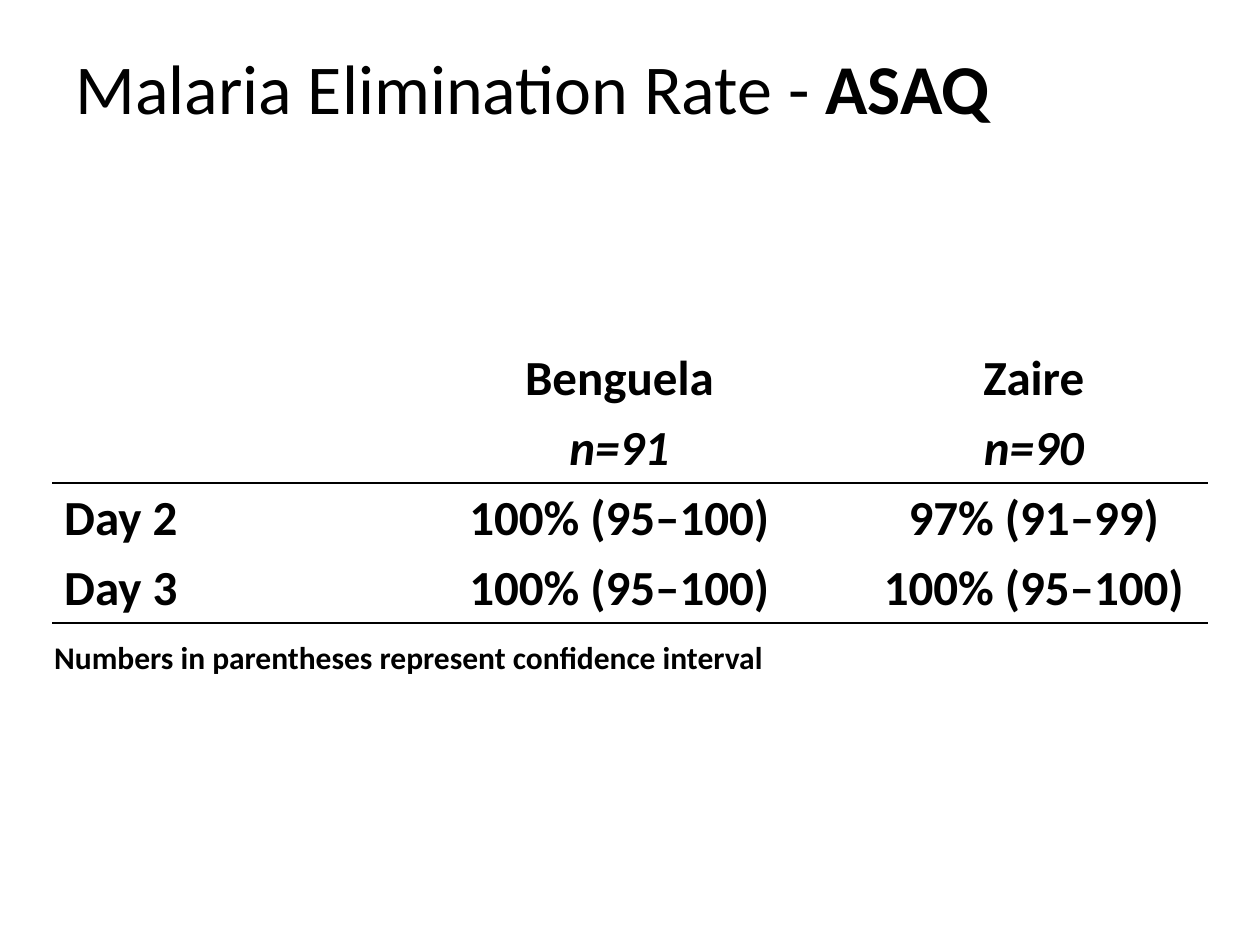
import pptx
import pptx.util
import pptx.dml.color
import pptx.enum.text
import pptx.oxml
import pptx.oxml.ns

Inches, Pt = pptx.util.Inches, pptx.util.Pt
ALIGN, ANCHOR = pptx.enum.text.PP_ALIGN, pptx.enum.text.MSO_ANCHOR
THEME = {
    "font": "Calibri",
    "ink": pptx.dml.color.RGBColor(0, 0, 0),
    "title": Pt(40),
    "body": Pt(28),
    "note": Pt(18),
    "rule": Pt(1),
}


def style(font, size):
    font.name = THEME["font"]
    font.size = size
    font.color.rgb = THEME["ink"]


def add_rule(cell, side):
    ln = pptx.oxml.parse_xml(
        f'<a:{side} {pptx.oxml.ns.nsdecls("a")} w="{THEME["rule"]}">'
        f'<a:solidFill><a:srgbClr val="{THEME["ink"]}"/></a:solidFill></a:{side}>'
    )
    cell._tc.get_or_add_tcPr().insert(0, ln)


prs = pptx.Presentation()
prs.slide_width, prs.slide_height = Inches(10), Inches(7.5)
s = prs.slides.add_slide(prs.slide_layouts[5])

title = s.shapes.title
title.left, title.top = Inches(0.5), Inches(0.3)
title.width, title.height = Inches(9), Inches(1.25)
tf = title.text_frame
tf.vertical_anchor = ANCHOR.TOP
p = tf.paragraphs[0]
p.alignment = ALIGN.LEFT
style(p.font, THEME["title"])
for text, bold in [("Malaria Elimination Rate - ", False), ("ASAQ", True)]:
    r = p.add_run()
    r.text = text
    style(r.font, THEME["title"])
    r.font.bold = bold

rows = [
    ["", "Benguela", "Zaire"],
    ["", "n=91", "n=90"],
    ["Day 2", "100% (95–100)", "97% (91–99)"],
    ["Day 3", "100% (95–100)", "100% (95–100)"],
    ["Numbers in parentheses represent confidence interval", "", ""],
]
COLUMNS = [2.58, 3.83, 2.75]
ROW = 0.556
COUNT_ROW, NOTE_ROW = 1, len(rows) - 1
RULED_ROWS = {2, NOTE_ROW}

table = s.shapes.add_table(
    len(rows), len(COLUMNS), Inches(0.42), Inches(2.72),
    Inches(sum(COLUMNS)), Inches(ROW * len(rows)),
).table
table.first_row = table.horz_banding = False
for column, width in zip(table.columns, COLUMNS):
    column.width = Inches(width)
table.cell(NOTE_ROW, 0).merge(table.cell(NOTE_ROW, len(COLUMNS) - 1))

for i, texts in enumerate(rows):
    for j, text in enumerate(texts):
        cell = table.cell(i, j)
        cell.fill.background()
        cell.vertical_anchor = ANCHOR.MIDDLE
        cell.margin_left = Inches(0.09 if j == 0 and i != NOTE_ROW else 0.01)
        cell.margin_top = cell.margin_right = Inches(0.01)
        cell.margin_bottom = 0
        if i in RULED_ROWS:
            add_rule(cell, "lnT")
        if i + 1 in RULED_ROWS:
            add_rule(cell, "lnB")
        if text:
            cell.text = text
            p = cell.text_frame.paragraphs[0]
            p.alignment = ALIGN.CENTER if j else ALIGN.LEFT
            style(p.font, THEME["note" if i == NOTE_ROW else "body"])
            p.font.bold = True
            p.font.italic = i == COUNT_ROW

prs.save("out.pptx")
